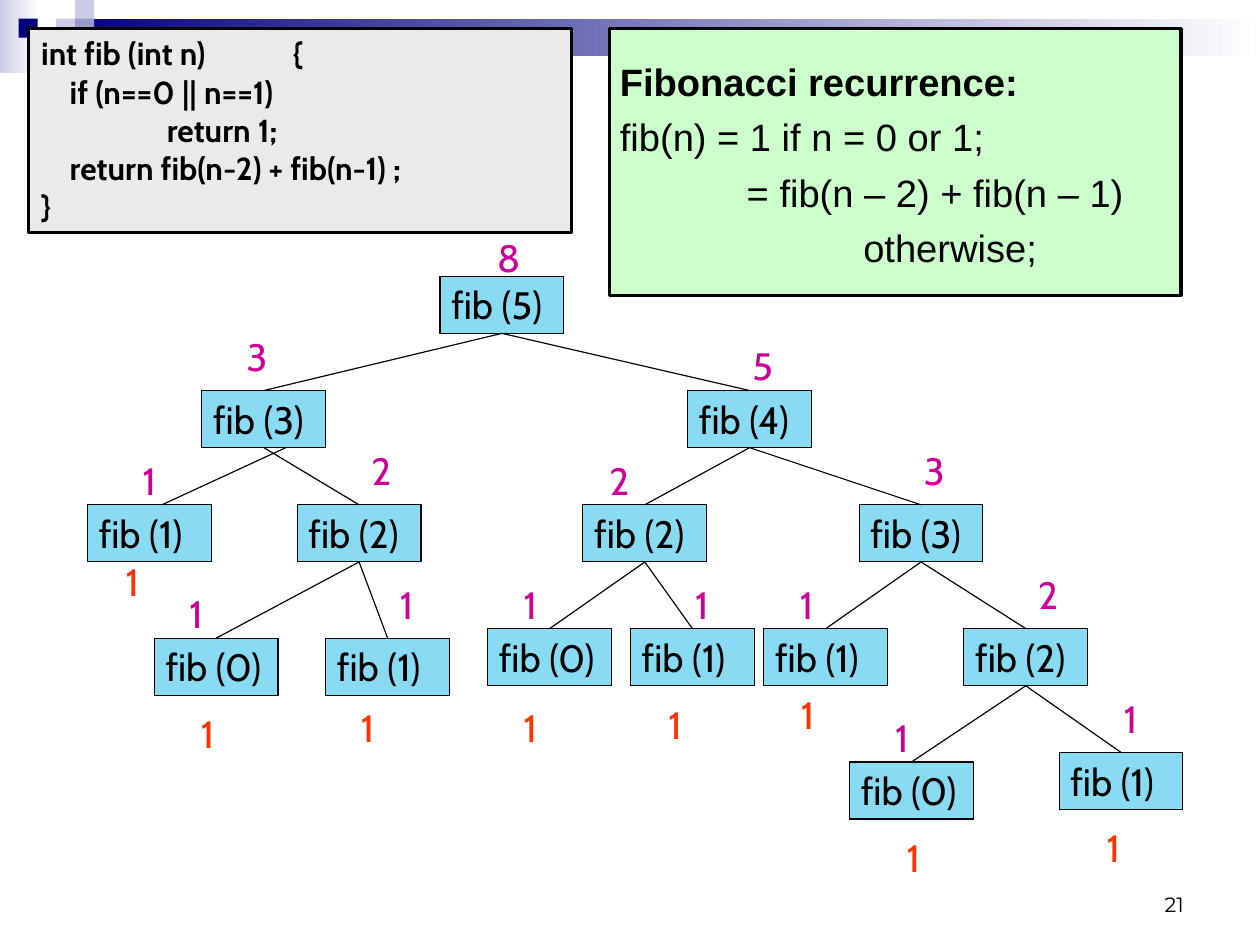
import pptx
import pptx.dml.color
import pptx.enum.shapes
import pptx.enum.text
import pptx.oxml
import pptx.oxml.ns
import pptx.util

RGBColor = pptx.dml.color.RGBColor
Anchor = pptx.enum.text.MSO_ANCHOR
Align = pptx.enum.text.PP_ALIGN
RECTANGLE = pptx.enum.shapes.MSO_SHAPE.RECTANGLE

BLACK = RGBColor(0x00, 0x00, 0x00)
WHITE = RGBColor(0xFF, 0xFF, 0xFF)
NAVY = RGBColor(0x00, 0x00, 0x7D)
LILAC = RGBColor(0xCC, 0xCC, 0xE6)
LAVENDER = RGBColor(0x99, 0x99, 0xCC)
SKY = RGBColor(0x89, 0xDA, 0xF3)
MINT = RGBColor(0xCC, 0xFF, 0xCC)
GREY = RGBColor(0xEA, 0xEA, 0xEA)
MAGENTA = RGBColor(0xCC, 0x00, 0x99)
ORANGE = RGBColor(0xFF, 0x33, 0x00)

# The slide is 28 by 21 centimetres.
SLIDE_SIZE = (28, 21)
# The grid has twelve cells to the inch; places are (column, row).
CELL = 1 / 12
NODE_SIZE = (13, 6)
LABEL_SIZE = (4.7, 6)

# left, top, width, height in cells, then one colour or the two of a gradient
BANNER = [
    (0, 0, 4.1, 7.7, (LILAC, WHITE)),
    (6, 1.95, 126.3, 3.95, (NAVY, WHITE)),
    (5.9, 1.95, 2, 2, (LILAC,)),
    (7.9, 0, 2, 2, (LILAC,)),
    (7.9, 1.95, 2, 2, (LAVENDER,)),
    (1.95, 1.95, 2, 2, (NAVY,)),
]

# call: (argument, caller, place, value, place of value, place of base result)
CALLS = {
    "root": (5, None, (46.2, 29), 8, (51, 24), None),
    "left": (3, "root", (21.2, 41), 3, (24.7, 34.4), None),
    "right": (4, "root", (72.2, 41), 5, (77.8, 35.4), None),
    "left one": (1, "left", (9.2, 53), 1, (13.8, 47.4), (12, 58)),
    "left two": (2, "left", (31.2, 53), 2, (37.8, 46.4), None),
    "left two zero": (0, "left two", (16.2, 67), 1, (18.7, 61.4), (19.9, 74)),
    "left two one": (1, "left two", (34.2, 67), 1, (40.8, 60.4), (36.7, 73.4)),
    "right two": (2, "right", (61.2, 53), 2, (62.8, 47.4), None),
    "right three": (3, "right", (90.2, 53), 3, (95.8, 46.4), None),
    "right two zero": (0, "right two", (51.2, 66), 1, (53.8, 60.4), (53.8, 73.4)),
    "right two one": (1, "right two", (66.2, 66), 1, (71.8, 60.4), (69, 73)),
    "right three one": (1, "right three", (80.2, 66), 1, (82.8, 60.4), (82.9, 72)),
    "right three two": (2, "right three", (101.2, 66), 2, (107.8, 59.4), None),
    "last zero": (0, "right three two", (89.2, 80), 1, (92.8, 74.4), (94, 87)),
    "last one": (1, "right three two", (111.2, 79), 1, (116.8, 72.4), (115, 86)),
}
# This branch runs between free points instead of the box middles.
FREE_BRANCHES = {"left one": ((30, 47), (17, 53))}

CODE = [
    "int fib (int n)\t{",
    "    if (n==0 || n==1)",
    "\treturn 1;",
    "    return fib(n-2) + fib(n-1) ;",
    "}",
]
CODE_BOX = (3, 3, 57, 21.4)
CODE_TABS = (1.1, 2.2)

# text, bold, indent in inches
RECURRENCE = [
    ("Fibonacci recurrence:", True, 0.09),
    ("fib(n) = 1 if n = 0 or 1;", False, 0.09),
    ("= fib(n – 2) + fib(n – 1)", False, 1.2),
    ("otherwise;", False, 2.22),
]
RECURRENCE_BOX = (64, 3, 60, 28)
PAGE_NUMBER = "21"
PAGE_NUMBER_BOX = (94.8, 90.4, 30.8, 6.6)


def cells(*counts):
    return [pptx.util.Inches(count * CELL) for count in counts]


def add_box(slide, place, colours, line_width=None):
    shape = slide.shapes.add_shape(RECTANGLE, *cells(*place))
    shape.shadow.inherit = False
    if len(colours) == 2:
        shape.fill.gradient()
        shape.fill.gradient_angle = 0
        for stop, colour in zip(shape.fill.gradient_stops, colours):
            stop.color.rgb = colour
    else:
        shape.fill.solid()
        shape.fill.fore_color.rgb = colours[0]
    if line_width:
        shape.line.color.rgb = BLACK
        shape.line.width = pptx.util.Pt(line_width)
    else:
        shape.line.fill.background()
    return shape


def set_frame(shape, insets, anchor=Anchor.TOP):
    """Set the insets in inches: left, top, right, bottom."""
    frame = shape.text_frame
    frame.word_wrap = True
    frame.vertical_anchor = anchor
    (frame.margin_left, frame.margin_top,
     frame.margin_right, frame.margin_bottom) = map(pptx.util.Inches, insets)
    return frame


def write(paragraph, text, size, font, colour=BLACK, bold=False, align=Align.LEFT):
    paragraph.alignment = align
    run = paragraph.add_run()
    run.text = text
    run.font.size = pptx.util.Pt(size)
    run.font.name = font
    run.font.bold = bold
    run.font.color.rgb = colour


def next_paragraph(frame, index):
    return frame.add_paragraph() if index else frame.paragraphs[0]


def add_node(slide, argument, place):
    node = add_box(slide, (*place, *NODE_SIZE), (SKY,), 0.75)
    frame = set_frame(node, (0.1, 0.05, 0, 0.05))
    write(frame.paragraphs[0], f"fib ({argument})", 24, "Cabin")
    return node


def add_label(slide, value, place, colour):
    label = slide.shapes.add_textbox(*cells(*place, *LABEL_SIZE))
    frame = set_frame(label, (0.1, 0.05, 0, 0.05))
    write(frame.paragraphs[0], str(value), 24, "Cabin", colour)


def add_branch(slide, caller, callee, free_ends):
    start, end = free_ends or ((0, 0), (0, 0))
    branch = slide.shapes.add_connector(
        pptx.enum.shapes.MSO_CONNECTOR.STRAIGHT, *cells(*start, *end))
    if not free_ends:
        branch.begin_connect(caller, 2)
        branch.end_connect(callee, 0)
    branch.line.color.rgb = BLACK
    branch.line.width = pptx.util.Pt(0.75)
    properties = branch._element.spPr
    properties.append(properties.makeelement(pptx.oxml.ns.qn("a:effectLst"), {}))


def add_call_tree(slide):
    nodes = {}
    for name, (argument, caller, place, *_) in CALLS.items():
        nodes[name] = add_node(slide, argument, place)
        if caller:
            add_branch(slide, nodes[caller], nodes[name], FREE_BRANCHES.get(name))
    for _, _, _, value, value_place, base_place in CALLS.values():
        add_label(slide, value, value_place, MAGENTA)
        if base_place:
            add_label(slide, value, base_place, ORANGE)


def add_recurrence(slide):
    box = add_box(slide, RECURRENCE_BOX, (MINT,), 2)
    frame = set_frame(box, (0, 0.04, 0, 0), Anchor.MIDDLE)
    for index, (text, bold, indent) in enumerate(RECURRENCE):
        paragraph = next_paragraph(frame, index)
        properties = paragraph._p.get_or_add_pPr()
        properties.set("marL", str(pptx.util.Inches(indent)))
        properties.set("indent", "0")
        if index:
            paragraph.space_before = pptx.util.Pt(6)
        write(paragraph, text, 24, "Arial", bold=bold)


def add_code(slide):
    box = add_box(slide, CODE_BOX, (GREY,), 2)
    frame = set_frame(box, (0.11, 0.05, 0.11, 0.06))
    for index, text in enumerate(CODE):
        paragraph = next_paragraph(frame, index)
        properties = paragraph._p.get_or_add_pPr()
        tab_list = properties.makeelement(pptx.oxml.ns.qn("a:tabLst"), {})
        for stop in CODE_TABS:
            tab_list.append(tab_list.makeelement(
                pptx.oxml.ns.qn("a:tab"),
                {"pos": str(pptx.util.Inches(stop)), "algn": "l"}))
        properties.append(tab_list)
        write(paragraph, text, 20, "Cabin", bold=True)


def main():
    presentation = pptx.Presentation()
    width, height = map(pptx.util.Cm, SLIDE_SIZE)
    presentation.slide_width = width
    presentation.slide_height = height
    slide = presentation.slides.add_slide(presentation.slide_layouts[6])
    for *place, colours in BANNER:
        add_box(slide, place, colours)
    number = slide.shapes.add_textbox(*cells(*PAGE_NUMBER_BOX))
    frame = set_frame(number, (0.11, 0.06, 0.11, 0.06), Anchor.BOTTOM)
    write(frame.paragraphs[0], PAGE_NUMBER, 13, "Montserrat", align=Align.RIGHT)
    add_call_tree(slide)
    add_recurrence(slide)
    add_code(slide)
    presentation.save("out.pptx")


if __name__ == "__main__":
    main()
